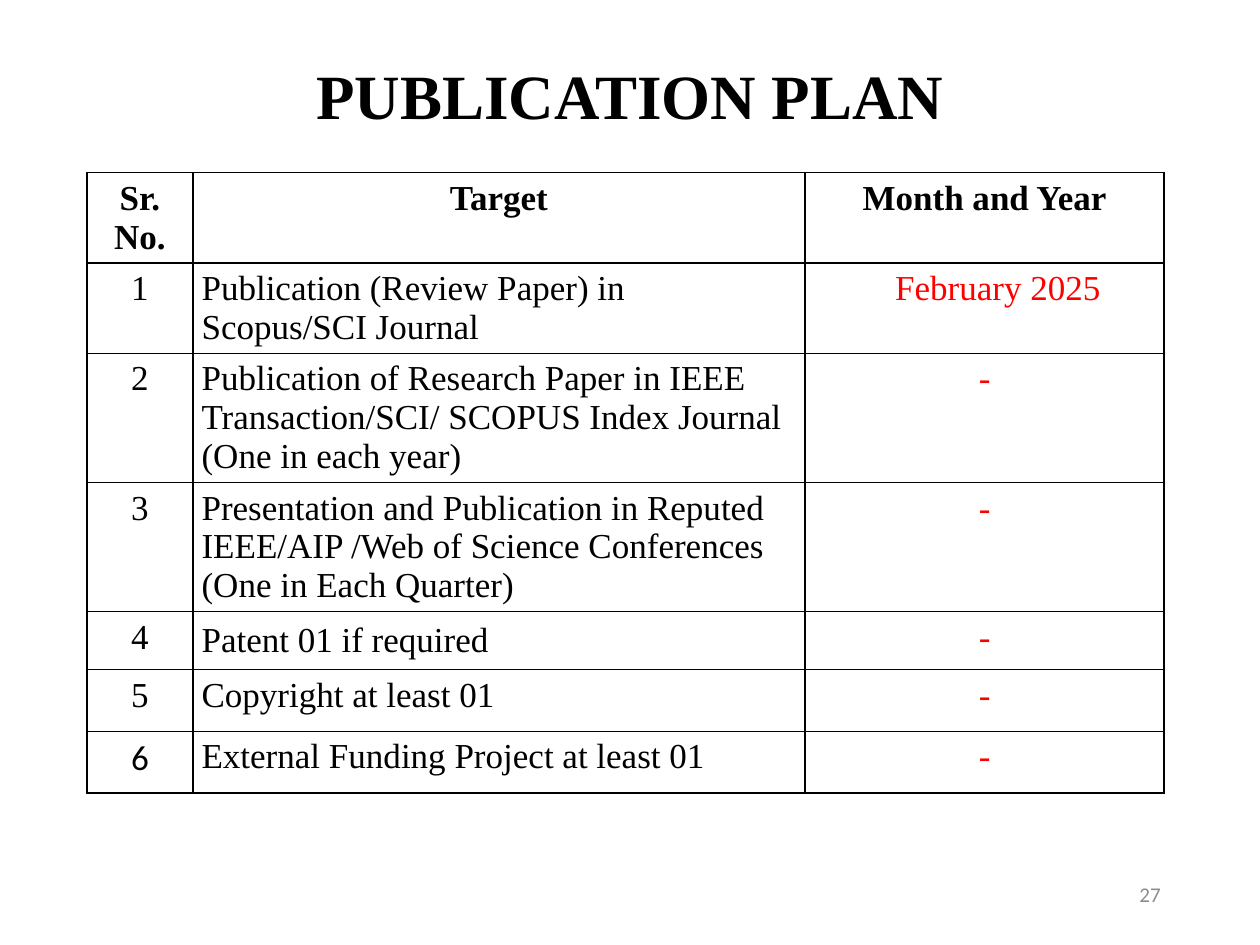
"""Builds the publication plan slide: a title, a table of targets and a page number."""
from lxml import etree
from pptx import Presentation, util as u
from pptx.dml.color import RGBColor
from pptx.enum import text
from pptx.oxml import ns

CENTER, LEFT, RIGHT = text.PP_ALIGN.CENTER, text.PP_ALIGN.LEFT, text.PP_ALIGN.RIGHT
TOP, MIDDLE = text.MSO_ANCHOR.TOP, text.MSO_ANCHOR.MIDDLE
SERIF, SANS = "Times New Roman", "Calibri"
BLACK, RED, GREY, WHITE = "000000", "FF0000", "8C8C8C", "FFFFFF"


def colour(value):
    """Turn a hex string into a colour."""
    return RGBColor.from_string(value)


class PlanSlide:
    """Holds the text style and the slide being filled."""

    def __init__(self, deck):
        """Add a title-only slide to the deck."""
        self.width, self.height = deck.slide_width, deck.slide_height
        self.slide = deck.slides.add_slide(deck.slide_layouts[5])

    def box(self, left, top, width, height):
        """Turn shares of the slide's size into lengths."""
        return (int(left * self.width), int(top * self.height),
                int(width * self.width), int(height * self.height))

    def add_words(self, frame, words, size, align, ink=BLACK, font=SERIF, bold=False):
        """Add one styled run to the first paragraph of a frame."""
        paragraph = frame.paragraphs[0]
        paragraph.alignment = align
        run = paragraph.add_run()
        run.text = words
        run.font.size, run.font.name, run.font.bold = u.Pt(size), font, bold
        run.font.color.rgb = colour(ink)
        return paragraph

    def title(self, words, *place):
        """Move and fill the title placeholder."""
        heading = self.slide.shapes.title
        heading.left, heading.top, heading.width, heading.height = self.box(*place)
        heading.text_frame.vertical_anchor = MIDDLE
        self.add_words(heading.text_frame, words, 36, CENTER, bold=True).line_spacing = 0.9

    def page_number(self, words, *place):
        """Put the page number in a text box."""
        frame = self.slide.shapes.add_textbox(*self.box(*place)).text_frame
        frame.word_wrap = True
        frame.vertical_anchor = MIDDLE
        self.add_words(frame, words, 12, RIGHT, GREY, SANS)

    def border(self, cell):
        """Draw a thin black line on each side of a cell."""
        properties = cell._tc.get_or_add_tcPr()
        for position, side in enumerate(("lnL", "lnR", "lnT", "lnB")):
            line = etree.Element(ns.qn(f"a:{side}"), w=str(u.Pt(1)))
            fill = etree.SubElement(line, ns.qn("a:solidFill"))
            etree.SubElement(fill, ns.qn("a:srgbClr"), val=BLACK)
            properties.insert(position, line)

    def cell(self, cell, words, align, anchor=TOP, indent=0, **style):
        """Fill and frame one table cell and add its words."""
        cell.fill.solid()
        cell.fill.fore_color.rgb = colour(WHITE)
        cell.margin_left, cell.margin_right = u.Inches(0.07 + indent), u.Inches(0.07)
        cell.vertical_anchor = anchor
        self.border(cell)
        self.add_words(cell.text_frame, words, 20, align, **style)

    def table(self, left, top, widths, heights):
        """Add a plain table whose columns and rows are shares of the slide."""
        place = self.box(left, top, sum(widths), sum(heights))
        table = self.slide.shapes.add_table(len(heights), len(widths), *place).table
        table.first_row = table.horz_banding = False
        for column, share in zip(table.columns, widths):
            column.width = int(share * self.width)
        for row, share in zip(table.rows, heights):
            row.height = int(share * self.height)
        return table


HEADINGS = ("Sr. No.", "Target", "Month and Year")
PLAN = (
    ("Publication (Review Paper) in Scopus/SCI Journal", "February 2025"),
    ("Publication of Research Paper in IEEE Transaction/SCI/ SCOPUS Index Journal "
     "(One in each year)", "-"),
    ("Presentation and Publication in Reputed IEEE/AIP /Web of Science Conferences "
     "(One in Each Quarter)", "-"),
    ("Patent 01 if required", "-"),
    ("Copyright at least 01", "-"),
    ("External Funding Project at least 01", "-"),
)
COLUMN_SHARES = [share / 10 for share in (0.84, 4.86, 2.85)]
ROW_SHARES = [share / 7.5 for share in (0.71, 0.71, 1.02, 1.02, 0.46, 0.49, 0.49)]


def main():
    """Build and save the slide."""
    deck = Presentation()
    deck.slide_width, deck.slide_height = u.Inches(10), u.Inches(7.5)
    page = PlanSlide(deck)
    page.title("PUBLICATION PLAN", 0.07, 0.4 / 7.5, 0.86, 0.77 / 7.5)
    table = page.table(0.69 / 10, 1.37 / 7.5, COLUMN_SHARES, ROW_SHARES)
    for column, heading in enumerate(HEADINGS):
        page.cell(table.cell(0, column), heading, CENTER, bold=True)
    for number, (target, month) in enumerate(PLAN, 1):
        serial, goal, due = (table.cell(number, column) for column in range(3))
        page.cell(serial, str(number), CENTER, font=SANS if number == len(PLAN) else SERIF)
        page.cell(goal, target, LEFT, MIDDLE if target.startswith("Patent") else TOP)
        page.cell(due, month, CENTER, indent=0 if month == "-" else 0.21, ink=RED)
    page.page_number("27", 7.06 / 10, 0.92, 2.25 / 10, 0.4 / 7.5)
    deck.save("out.pptx")


if __name__ == "__main__":
    main()
